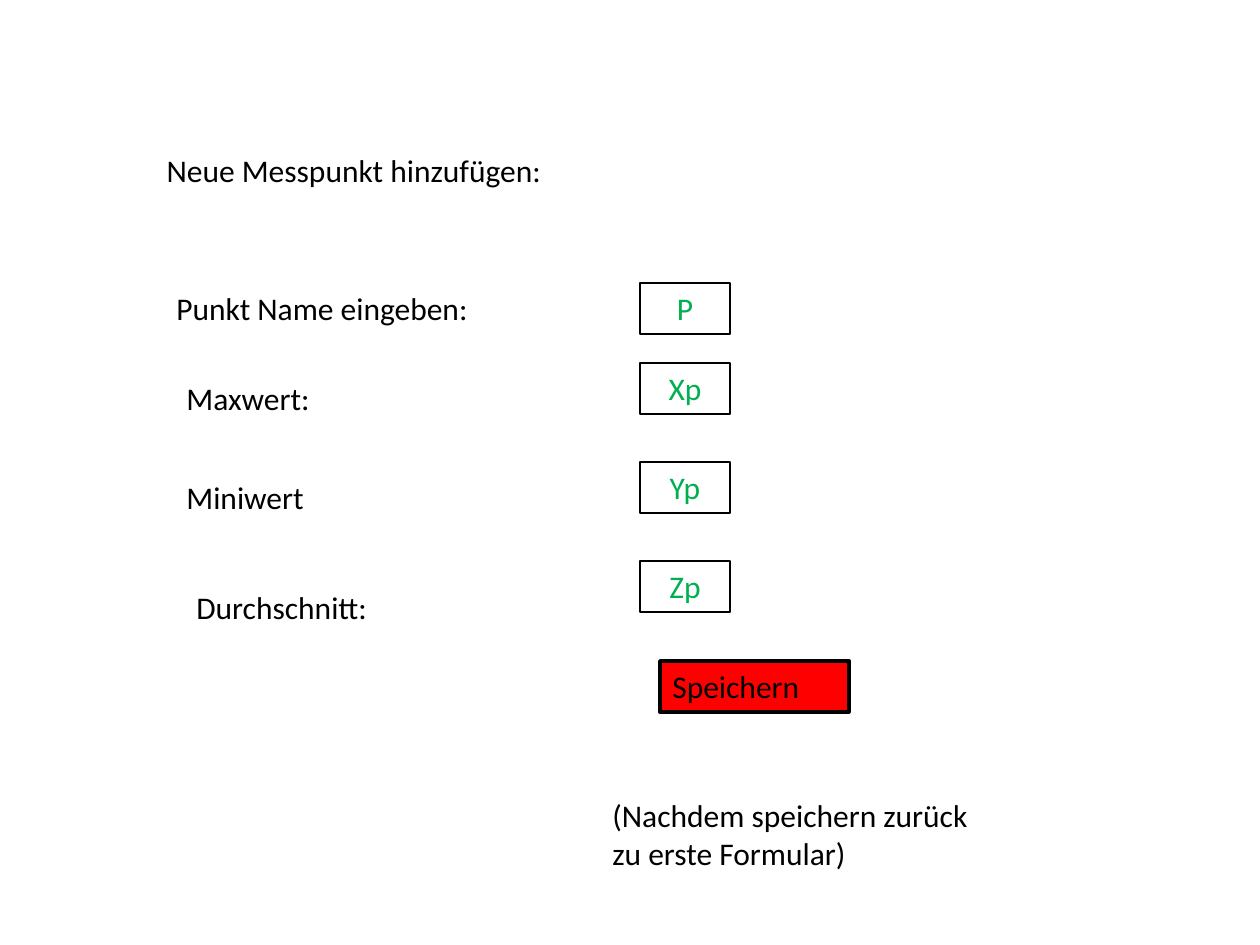
from pptx import Presentation
from pptx.dml.color import RGBColor
from pptx.enum.shapes import MSO_SHAPE
from pptx.enum.text import MSO_ANCHOR, MSO_AUTO_SIZE, PP_ALIGN
from pptx.util import Pt

RECTANGLE = MSO_SHAPE.RECTANGLE
TOP = MSO_ANCHOR.TOP
FIT_SHAPE = MSO_AUTO_SIZE.SHAPE_TO_FIT_TEXT
LEFT, CENTER = PP_ALIGN.LEFT, PP_ALIGN.CENTER
EMU_PER_PIXEL = 914400 / 126
LINE_HEIGHT = 51
BLACK, GREEN, RED = "000000", "00B050", "FF0000"

FIELDS = [
    ("Punkt Name eingeben:", 0, 0, "P", 0),
    ("Maxwert:", 10, 90, "Xp", 80),
    ("Miniwert", 10, 189, "Yp", 179),
    ("Durchschnitt:", 20, 299, "Zp", 278),
]


def emu(pixels):
    return round(pixels * EMU_PER_PIXEL)


def color(value):
    return RGBColor.from_string(value)


def write(shape, text, text_color=BLACK, align=LEFT):
    frame = shape.text_frame
    frame.text = text
    frame.word_wrap = True
    frame.auto_size = FIT_SHAPE
    frame.vertical_anchor = TOP
    para = frame.paragraphs[0]
    para.alignment = align
    font = para.runs[0].font
    font.name = "Calibri"
    font.size = Pt(18)
    font.color.rgb = color(text_color)


def add_title(page, left, top, width, height):
    title = page.shapes.title
    title.left, title.top = emu(left), emu(top)
    title.width, title.height = emu(width), emu(height)
    write(title, "Neue Messpunkt hinzufügen:")


def add_text(page, text, left, top, width, height=LINE_HEIGHT):
    box = page.shapes.add_textbox(emu(left), emu(top), emu(width), emu(height))
    write(box, text)


def add_box(page, text, left, top, width, line_width, text_color, align, fill=None):
    box = page.shapes.add_shape(
        RECTANGLE, emu(left), emu(top), emu(width), emu(LINE_HEIGHT))
    box.shadow.inherit = False
    if fill:
        box.fill.solid()
        box.fill.fore_color.rgb = color(fill)
    else:
        box.fill.background()
    box.line.color.rgb = color(BLACK)
    box.line.width = Pt(line_width)
    write(box, text, text_color, align)


def add_form(page, left, top):
    for label, indent, label_top, value, value_top in FIELDS:
        add_text(page, label, left + indent, top + label_top, 367)
        add_box(page, value, left + 476, top + value_top, 90, 0.75, GREEN, CENTER)


def add_save_area(page, left, top):
    add_box(page, "Speichern", left + 60, top, 189, 2, BLACK, LEFT, RED)
    add_text(page, "(Nachdem speichern zurück zu erste Formular)",
             left, top + 129, 407, 89)


deck = Presentation()
deck.slide_width, deck.slide_height = emu(1260), emu(945)
page = deck.slides.add_slide(deck.slide_layouts.get_by_name("Title Only"))
add_title(page, 154, 145, 427, LINE_HEIGHT)
add_form(page, 164, 283)
add_save_area(page, 600, 661)
deck.save("out.pptx")
